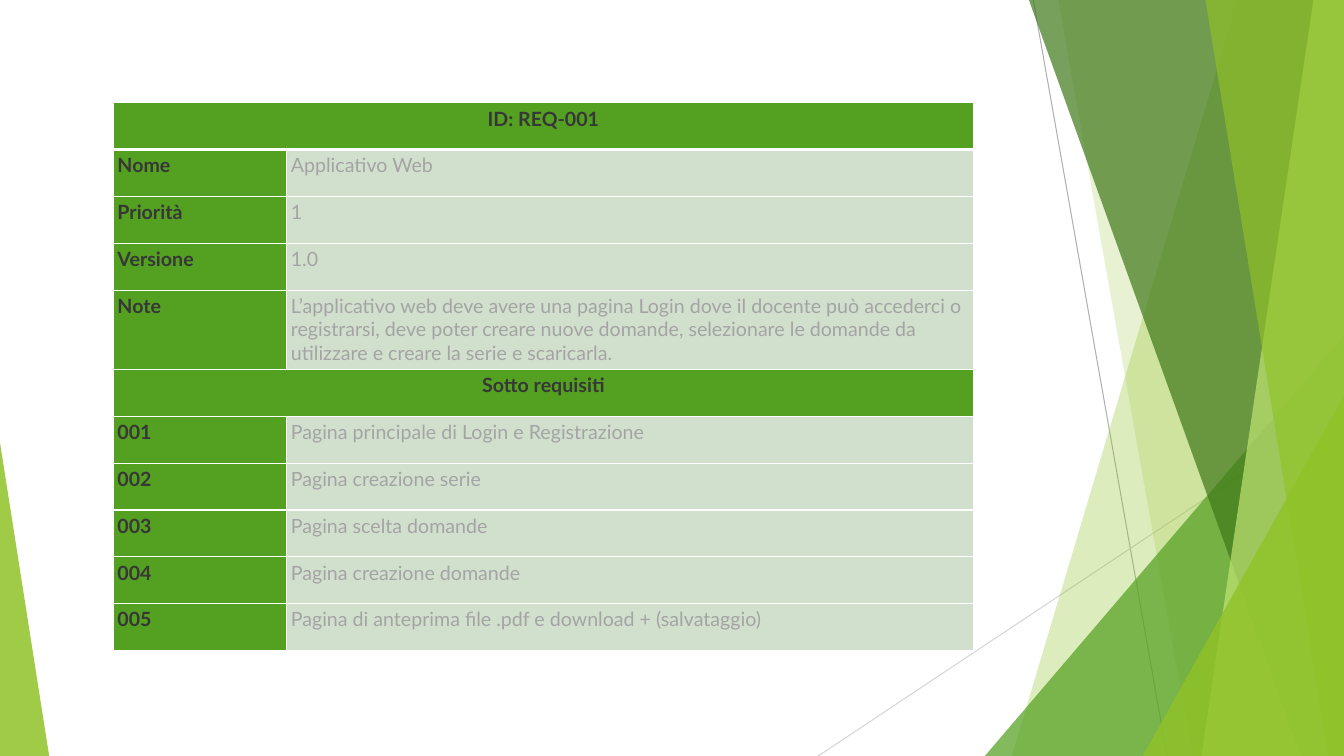
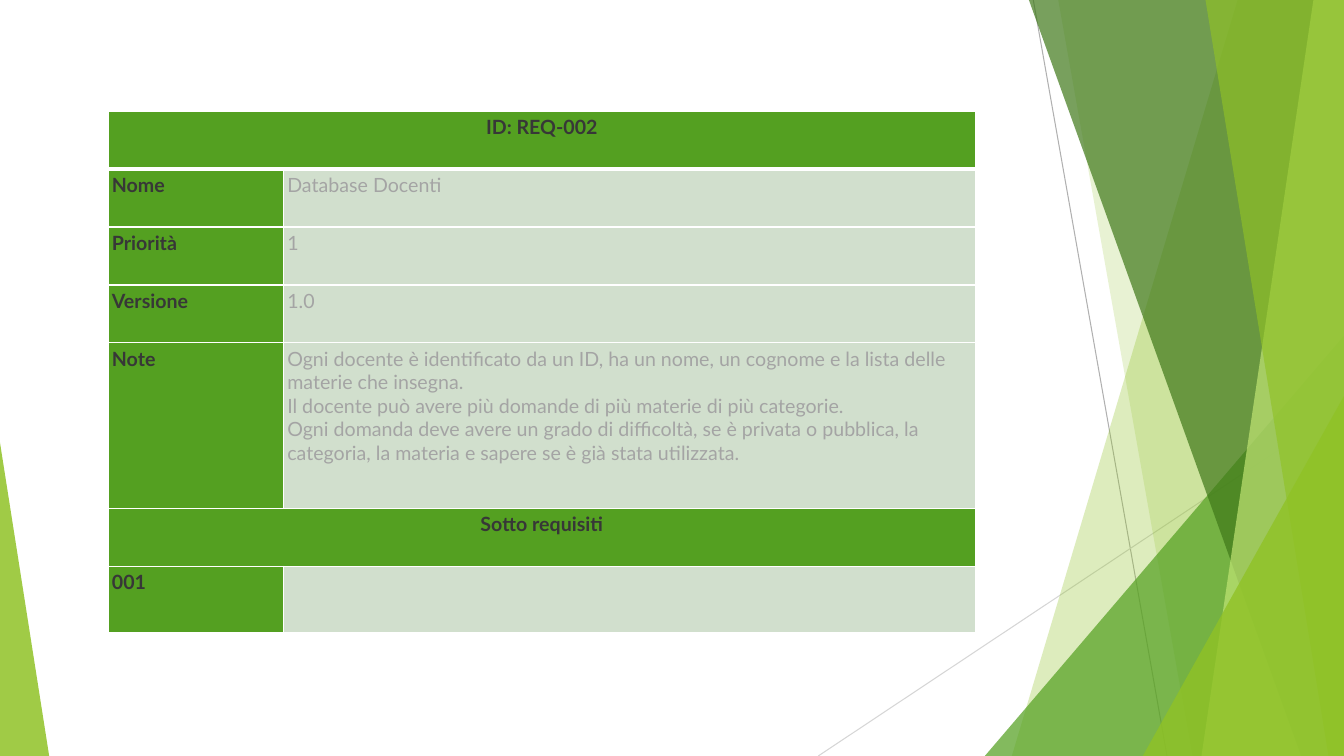
import dataclasses
import typing

import lxml.etree
import pptx
import pptx.dml.color
import pptx.enum.shapes
import pptx.enum.text
import pptx.oxml.ns
import pptx.util

Cm = pptx.util.Cm
Pt = pptx.util.Pt
qn = pptx.oxml.ns.qn
SLIDE_WIDTH, SLIDE_HEIGHT = 33.87, 19.05


@dataclasses.dataclass(frozen=True)
class Theme:
    background: str = "FFFFFF"
    border: str = "FFFFFF"
    label: str = "373737"
    value: str = "A4A4A4"
    label_fill: str = "54A021"
    value_fill: str = "D1DFCD"
    lime: str = "90C226"
    green: str = "54A021"
    forest: str = "3F7819"
    pale_lime: str = "C0E474"
    steep_ray: str = "B0B0B0"
    flat_ray: str = "D6D6D6"
    font: str = "Lato"
    text_size: float = 14
    ray_width: float = 0.75
    border_width: float = 1
    header_border_width: float = 3


THEME = Theme()


@dataclasses.dataclass(frozen=True)
class Ray:
    start: tuple[float, float]
    end: tuple[float, float]
    color: str


@dataclasses.dataclass(frozen=True)
class Band:
    top_x: float
    bottom_x: float
    color: str
    opacity: int


@dataclasses.dataclass(frozen=True)
class Wedge:
    left: float
    top: float
    width: float
    apex: float
    color: str
    opacity: int


@dataclasses.dataclass(frozen=True)
class Row:
    label: str
    value: typing.Optional[str] = None
    height: typing.Optional[float] = None


@dataclasses.dataclass(frozen=True)
class Requirement:
    left: float
    top: float
    columns: tuple[float, float]
    row_height: float
    rows: list[Row]


RAYS = [
    Ray((26.04, 0), (29.41, SLIDE_HEIGHT), THEME.steep_ray),
    Ray((SLIDE_WIDTH, 10.24), (20.62, SLIDE_HEIGHT), THEME.flat_ray),
]

FACETS = [
    Band(31.19, 25.5, THEME.lime, 30),
    Band(26.67, 30.05, THEME.lime, 20),
    Wedge(24.82, 8.46, 9.05, 1, THEME.green, 72),
    Band(25.93, 32.79, THEME.forest, 70),
    Band(33.1, 30.28, THEME.pale_lime, 70),
    Band(30.38, 33.48, THEME.lime, 65),
    Wedge(28.8, 9.98, 5.07, 1, THEME.lime, 80),
    Wedge(0, 11.15, 1.24, 0, THEME.lime, 85),
]

REQUIREMENTS = [
    Requirement(2.86, 2.59, (4.37, 17.3), 1.18, [
        Row("ID: REQ-001"),
        Row("Nome", "Applicativo Web"),
        Row("Priorità", "1"),
        Row("Versione", "1.0"),
        Row("Note", "L’applicativo web deve avere una pagina Login dove il docente può "
            "accederci o registrarsi, deve poter creare nuove domande, selezionare le "
            "domande da utilizzare e creare la serie e scaricarla.", 2),
        Row("Sotto requisiti"),
        Row("001", "Pagina principale di Login e Registrazione"),
        Row("002", "Pagina creazione serie"),
        Row("003", "Pagina scelta domande"),
        Row("004", "Pagina creazione domande"),
        Row("005", "Pagina di anteprima file .pdf e download + (salvataggio)"),
    ]),
    Requirement(2.72, 2.8, (4.42, 17.45), 1.46, [
        Row("ID: REQ-002"),
        Row("Nome", "Database Docenti"),
        Row("Priorità", "1"),
        Row("Versione", "1.0"),
        Row("Note", "Ogni docente è identificato da un ID, ha un nome, un cognome e la "
            "lista delle materie che insegna.\n"
            "Il docente può avere più domande di più materie di più categorie.\n"
            "Ogni domanda deve avere un grado di difficoltà, se è privata o pubblica, la "
            "categoria, la materia e sapere se è già stata utilizzata.", 4.17),
        Row("Sotto requisiti"),
        Row("001", "", 1.67),
    ]),
]

CELL_FORMAT = {side: Cm(0.1) for side in
               ("margin_left", "margin_top", "margin_right", "margin_bottom")}
FONT_FORMAT = {"name": THEME.font, "size": Pt(THEME.text_size)}


def rgb(color: str) -> pptx.dml.color.RGBColor:
    return pptx.dml.color.RGBColor.from_string(color)


def apply_format(target, values: dict) -> None:
    for attribute, value in values.items():
        setattr(target, attribute, value)


def paint(fill, color: str) -> None:
    fill.solid()
    fill.fore_color.rgb = rgb(color)


def draw_ray(slide, ray: Ray) -> None:
    line = slide.shapes.add_connector(
        pptx.enum.shapes.MSO_CONNECTOR.STRAIGHT,
        *(Cm(length) for length in ray.start + ray.end))
    line.line.color.rgb = rgb(ray.color)
    line.line.width = Pt(THEME.ray_width)
    lxml.etree.SubElement(line._element.spPr, qn("a:effectLst"))


def draw_facet(slide, facet: typing.Union[Band, Wedge]) -> None:
    if isinstance(facet, Band):
        outline = slide.shapes.build_freeform(Cm(facet.top_x), 0)
        corners = [(SLIDE_WIDTH, 0), (SLIDE_WIDTH, SLIDE_HEIGHT),
                   (facet.bottom_x, SLIDE_HEIGHT)]
        outline.add_line_segments([(Cm(x), Cm(y)) for x, y in corners], close=True)
        shape = outline.convert_to_shape()
    else:
        shape = slide.shapes.add_shape(
            pptx.enum.shapes.MSO_SHAPE.ISOSCELES_TRIANGLE,
            Cm(facet.left), Cm(facet.top),
            Cm(facet.width), Cm(SLIDE_HEIGHT - facet.top))
        shape.adjustments[0] = facet.apex
    shape.shadow.inherit = False
    shape.line.fill.background()
    paint(shape.fill, facet.color)
    color = shape._element.spPr.find(qn("a:solidFill")).find(qn("a:srgbClr"))
    lxml.etree.SubElement(color, qn("a:alpha"), val=str(facet.opacity * 1000))


def draw_borders(cell, row_index: int) -> None:
    header_side = {0: "B", 1: "T"}.get(row_index)
    properties = cell._tc.get_or_add_tcPr()
    for side in "LRTB":
        width = THEME.header_border_width if side == header_side else THEME.border_width
        border = lxml.etree.SubElement(properties, qn(f"a:ln{side}"), w=str(Pt(width)))
        fill = lxml.etree.SubElement(border, qn("a:solidFill"))
        lxml.etree.SubElement(fill, qn("a:srgbClr"), val=THEME.border)


def fill_cell(cell, text: str, is_label: bool, centred: bool) -> None:
    apply_format(cell, CELL_FORMAT)
    paint(cell.fill, THEME.label_fill if is_label else THEME.value_fill)
    cell.text = text
    for paragraph in cell.text_frame.paragraphs:
        if centred:
            paragraph.alignment = pptx.enum.text.PP_ALIGN.CENTER
        apply_format(paragraph.font, FONT_FORMAT)
        for run in paragraph.runs:
            apply_format(run.font, {**FONT_FORMAT, "bold": is_label})
            run.font.color.rgb = rgb(THEME.label if is_label else THEME.value)


def draw_requirement(slide, requirement: Requirement) -> None:
    heights = [row.height or requirement.row_height for row in requirement.rows]
    table = slide.shapes.add_table(
        len(heights), 2, Cm(requirement.left), Cm(requirement.top),
        Cm(sum(requirement.columns)), Cm(sum(heights))).table
    apply_format(table, {"first_row": False, "horz_banding": False})
    for column, width in zip(table.columns, requirement.columns):
        column.width = Cm(width)
    for index, (row, height) in enumerate(zip(requirement.rows, heights)):
        table.rows[index].height = Cm(height)
        label, value = table.cell(index, 0), table.cell(index, 1)
        is_heading = row.value is None
        for cell in (label, value):
            draw_borders(cell, index)
        fill_cell(label, row.label, True, is_heading)
        if is_heading:
            label.merge(value)
        else:
            fill_cell(value, row.value, False, False)


def draw_backdrop(slide) -> None:
    paint(slide.background.fill, THEME.background)
    for ray in RAYS:
        draw_ray(slide, ray)
    for facet in FACETS:
        draw_facet(slide, facet)


def main() -> None:
    presentation = pptx.Presentation()
    presentation.slide_width = Cm(SLIDE_WIDTH)
    presentation.slide_height = Cm(SLIDE_HEIGHT)
    for requirement in REQUIREMENTS:
        slide = presentation.slides.add_slide(presentation.slide_layouts[6])
        draw_backdrop(slide)
        draw_requirement(slide, requirement)
    presentation.save("out.pptx")


if __name__ == "__main__":
    main()
